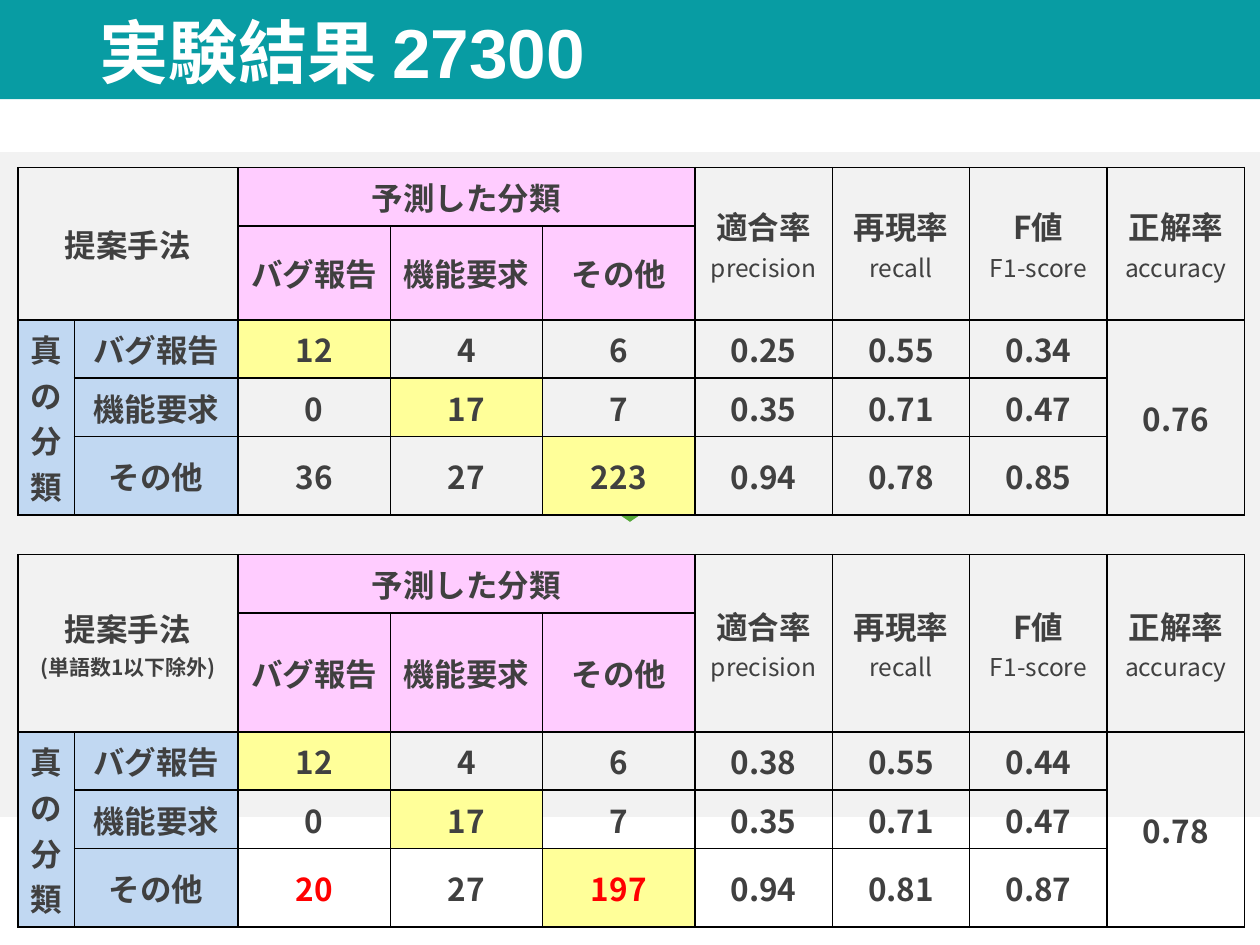
from lxml.etree import SubElement
from pptx import Presentation
from pptx.dml.color import RGBColor
from pptx.enum.shapes import MSO_SHAPE
from pptx.enum.text import MSO_ANCHOR, PP_ALIGN
from pptx.oxml.ns import qn
from pptx.util import Cm, Pt

TEAL = RGBColor(0x08, 0x9C, 0xA3)
PANEL = RGBColor(0xF2, 0xF2, 0xF2)
GREEN = RGBColor(0x55, 0xA8, 0x39)
PINK = RGBColor(0xFF, 0xCC, 0xFF)
BLUE = RGBColor(0xC1, 0xD8, 0xF2)
YELLOW = RGBColor(0xFF, 0xFF, 0x99)
GREY = RGBColor(0x40, 0x40, 0x40)
RED = RGBColor(0xFF, 0, 0)
BLACK = RGBColor(0, 0, 0)
WHITE = RGBColor(0xFF, 0xFF, 0xFF)
SANS = "Noto Sans CJK JP"


def write(para, text, size, color=GREY, bold=True, face=SANS):
    run = para.add_run()
    run.text = text
    font = run.font
    font.name, font.size, font.bold = face, Pt(size), bold
    font.color.rgb = color
    SubElement(font._element, qn("a:ea")).set("typeface", SANS)


def dress(cell, fill):
    cell.vertical_anchor = MSO_ANCHOR.MIDDLE
    props = cell._tc.get_or_add_tcPr()
    for side in ("lnL", "lnR", "lnT", "lnB"):
        line = SubElement(props, qn("a:" + side), w=str(Pt(1)))
        solid = SubElement(line, qn("a:solidFill"))
        SubElement(solid, qn("a:srgbClr"), val=str(BLACK))
    if fill is None:
        cell.fill.background()
    else:
        cell.fill.solid()
        cell.fill.fore_color.rgb = fill


deck = Presentation()
deck.slide_width, deck.slide_height = Cm(25.4), Cm(19.05)
slide = deck.slides.add_slide(deck.slide_layouts[5])
shapes = slide.shapes
title = shapes.title

for kind, box, color in (
    (MSO_SHAPE.RECTANGLE, (0, 0, 25.4, 2), TEAL),
    (MSO_SHAPE.RECTANGLE, (0, 3.07, 25.4, 13.4), PANEL),
    (MSO_SHAPE.DOWN_ARROW, (11.67, 9.12, 2.06, 1.4), GREEN),
):
    shape = shapes.add_shape(kind, *[Cm(n) for n in box])
    shape.shadow.inherit = False
    shape.fill.solid()
    shape.fill.fore_color.rgb = color
    shape.line.fill.background()
shape._element.addprevious(title._element)

title.left, title.top = Cm(1.75), Cm(0.23)
title.width, title.height = Cm(21.9), Cm(1.78)
frame = title.text_frame
frame.vertical_anchor = MSO_ANCHOR.MIDDLE
para = frame.paragraphs[0]
para.alignment = PP_ALIGN.LEFT
para.line_spacing = 0.9
write(para, "実験結果 27300", 39.6, WHITE, face="Arial")

names = ["バグ報告", "機能要求", "その他"]
rates = [("適合率", "precision"), ("再現率", "recall"),
         ("F値", "F1-score"), ("正解率", "accuracy")]
widths = [1.14, 3.3] + [3.07] * 3 + [2.77] * 4
spans = [(0, 0, 1, 1), (0, 2, 0, 4), (2, 0, 4, 0), (2, 8, 4, 8)]
spans += [(0, col, 1, col) for col in range(5, 9)]

trials = [
    (11.18, "(単語数1以下除外)", "0.78", {"20", "197"},
     [["12", "4", "6", "0.38", "0.55", "0.44"],
      ["0", "17", "7", "0.35", "0.71", "0.47"],
      ["20", "27", "197", "0.94", "0.81", "0.87"]]),
    (3.38, "", "0.76", set(),
     [["12", "4", "6", "0.25", "0.55", "0.34"],
      ["0", "17", "7", "0.35", "0.71", "0.47"],
      ["36", "27", "223", "0.94", "0.78", "0.85"]]),
]

for top, note, score, marks, data in trials:
    grid = shapes.add_table(5, 9, Cm(0.36), Cm(top), Cm(24.73), Cm(5)).table
    grid.first_row = grid.horz_banding = False
    for col, width in zip(grid.columns, widths):
        col.width = Cm(width)
    for row in grid.rows:
        row.height = Cm(1)

    for row in range(5):
        for col in range(9):
            fill = None
            if row < 2 and 2 <= col <= 4:
                fill = PINK
            elif row >= 2 and col < 2:
                fill = BLUE
            elif row >= 2 and row == col:
                fill = YELLOW
            dress(grid.cell(row, col), fill)
    for row, col, last, end in spans:
        grid.cell(row, col).merge(grid.cell(last, end))

    texts = {(0, 0): "提案手法", (0, 2): "予測した分類",
             (2, 0): "真の分類", (2, 8): score}
    for i, name in enumerate(names):
        texts[1, i + 2] = texts[i + 2, 1] = name
        for j, value in enumerate(data[i]):
            texts[i + 2, j + 2] = value
    for i, (name, _) in enumerate(rates):
        texts[0, i + 5] = name

    for (row, col), text in texts.items():
        para = grid.cell(row, col).text_frame.paragraphs[0]
        para.alignment = PP_ALIGN.CENTER
        write(para, text, 18, RED if text in marks else GREY)
    for i, (_, term) in enumerate(rates):
        para = grid.cell(0, i + 5).text_frame.add_paragraph()
        para.alignment = PP_ALIGN.CENTER
        write(para, term, 14, bold=False)
    if note:
        para = grid.cell(0, 0).text_frame.paragraphs[0]
        para.add_line_break()
        write(para, note, 12)
    grid.cell(2, 0)._tc.get_or_add_tcPr().set("vert", "eaVert")

deck.save("out.pptx")
